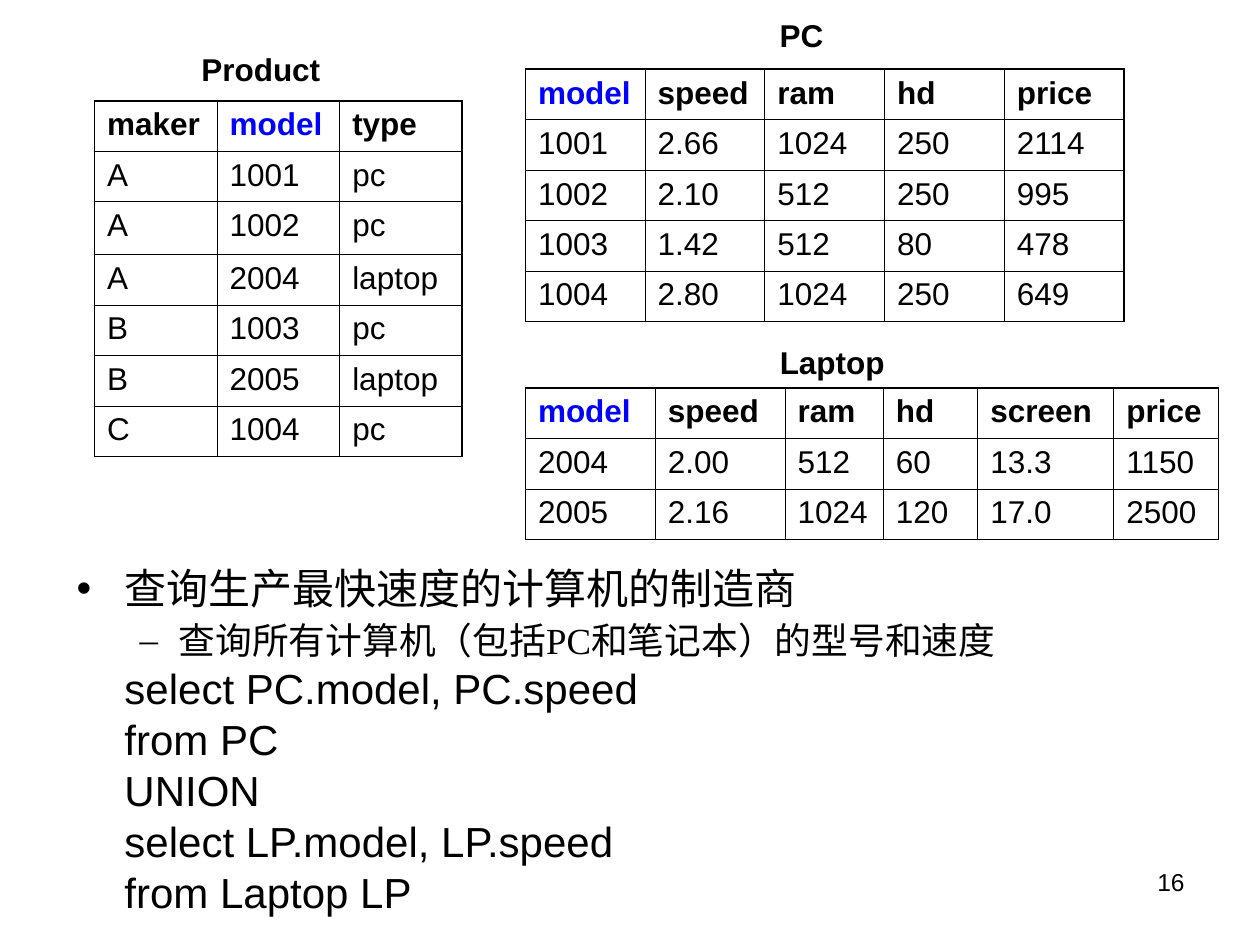
from lxml import etree
from pptx import Presentation, util as u
from pptx.dml.color import RGBColor
from pptx.enum import text
from pptx.oxml import ns

BLACK = RGBColor(0x00, 0x00, 0x00)
KEY_BLUE = RGBColor(0x00, 0x00, 0xFF)
SANS, SERIF = "Arial", "Times New Roman"
OUTER, INNER = 1.08, 0.45


class Board:
    def __init__(self, deck):
        self.slide = deck.slides.add_slide(deck.slide_layouts[6])
        self.column = deck.slide_width / 100
        self.row = deck.slide_height / 75

    def across(self, columns):
        return u.Emu(round(columns * self.column))

    def down(self, rows):
        return u.Emu(round(rows * self.row))

    def place(self, left, top, width, height):
        return self.across(left), self.down(top), self.across(width), self.down(height)

    def style(self, paragraph, size, bold=False, color=BLACK, face=SANS):
        for run in paragraph.runs:
            run.font.size = u.Pt(size)
            run.font.bold = bold
            run.font.name = face
            run.font.color.rgb = color

    def label(self, words, area, size=18, bold=True, align=text.PP_ALIGN.LEFT):
        frame = self.slide.shapes.add_textbox(*self.place(*area)).text_frame
        frame.word_wrap = True
        frame.text = words
        frame.paragraphs[0].alignment = align
        self.style(frame.paragraphs[0], size, bold)

    def border(self, cell, widths):
        properties = cell._tc.get_or_add_tcPr()
        for position, (side, width) in enumerate(widths.items()):
            line = etree.Element(ns.qn(f"a:ln{side}"), w=str(u.Pt(width)))
            fill = etree.SubElement(line, ns.qn("a:solidFill"))
            etree.SubElement(fill, ns.qn("a:srgbClr"), val=str(BLACK))
            properties.insert(position, line)

    def relation(self, left, top, widths, heights, records):
        area = self.place(left, top, sum(widths), sum(heights))
        table = self.slide.shapes.add_table(len(heights), len(widths), *area).table
        table.first_row = table.horz_banding = False
        for column, width in zip(table.columns, widths):
            column.width = self.across(width)
        for row, height in zip(table.rows, heights):
            row.height = self.down(height)
        last_row, last_column = len(heights) - 1, len(widths) - 1
        for r, record in enumerate(records):
            for c, value in enumerate(record.split()):
                cell = table.cell(r, c)
                cell.text = value
                cell.fill.background()
                color = KEY_BLUE if value == "model" else BLACK
                self.style(cell.text_frame.paragraphs[0], 18, r == 0, color)
                edges = {"L": c == 0, "R": c == last_column,
                         "T": r == 0, "B": r == last_row}
                self.border(cell, {side: OUTER if outer else INNER
                                   for side, outer in edges.items()})

    def query(self, area, lines):
        frame = self.slide.shapes.add_textbox(*self.place(*area)).text_frame
        frame.word_wrap = True
        for index, (words, level, mark, margin, hang, spacing, before, size, face) in enumerate(lines):
            paragraph = frame.add_paragraph() if index else frame.paragraphs[0]
            paragraph.text = words
            paragraph.level = level
            paragraph.line_spacing = spacing
            paragraph.space_before = u.Pt(before if index else 0)
            properties = paragraph._p.get_or_add_pPr()
            properties.set("marL", str(self.across(margin)))
            properties.set("indent", str(-self.across(hang)))
            if mark:
                paragraph.alignment = text.PP_ALIGN.JUSTIFY
                etree.SubElement(properties, ns.qn("a:buFont"), typeface=face)
                etree.SubElement(properties, ns.qn("a:buChar"), char=mark)
            else:
                etree.SubElement(properties, ns.qn("a:buNone"))
            self.style(paragraph, size, face=face)


def main():
    deck = Presentation()
    deck.slide_width, deck.slide_height = u.Inches(10), u.Inches(7.5)
    board = Board(deck)

    sql = ["select PC.model, PC.speed", "from PC", "UNION",
           "select LP.model, LP.speed", "from Laptop LP"]
    board.query((5.1, 44.6, 90, 30.4), [
        ("查询生产最快速度的计算机的制造商", 0, "•", 3.8, 3.8, 0.9, 6, 24, SANS),
        ("查询所有计算机（包括PC和笔记本）的型号和速度", 1, "–", 8.1, 3.1, 0.9, 5.2, 21, SERIF),
        *[(clause, 0, None, 3.8, 0, 0.8, 6, 24, SANS) for clause in sql],
    ])

    board.relation(7.5, 8, [9.73] * 3, [4, 4, 4.2, 4, 4, 4, 4], [
        "maker model type", "A 1001 pc", "A 1002 pc", "A 2004 laptop",
        "B 1003 pc", "B 2005 laptop", "C 1004 pc"])
    board.relation(41.7, 5.5, [9.5] * 5, [4] * 5, [
        "model speed ram hd price", "1001 2.66 1024 250 2114",
        "1002 2.10 512 250 995", "1003 1.42 512 80 478", "1004 2.80 1024 250 649"])
    board.relation(41.7, 30.8, [10.3, 10.3, 7.8, 7.5, 10.8, 8.3], [4] * 3, [
        "model speed ram hd screen price", "2004 2.00 512 60 13.3 1150",
        "2005 2.16 1024 120 17.0 2500"])

    board.label("Product", (15, 3.5, 12, 4))
    board.label("PC", (60.9, 0.8, 6, 4))
    board.label("Laptop", (60.9, 26.7, 10.8, 4))
    board.label("16", (71.7, 68.3, 23.3, 5.2), 14, False, text.PP_ALIGN.RIGHT)

    deck.save("out.pptx")


if __name__ == "__main__":
    main()
